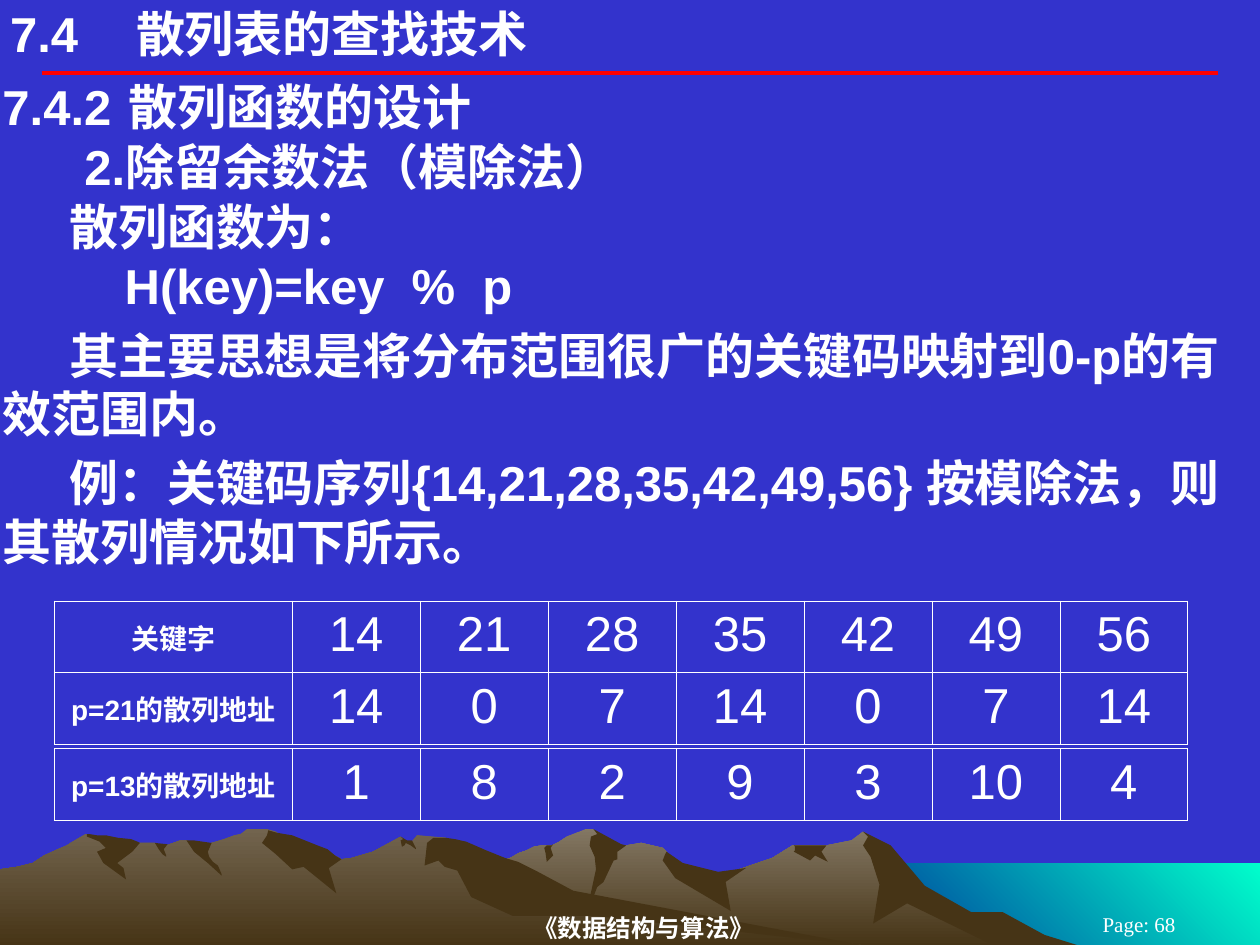
from lxml.etree import SubElement
from pptx import Presentation
from pptx.dml.color import RGBColor
from pptx.enum.shapes import MSO_CONNECTOR
from pptx.enum.text import MSO_ANCHOR as Anchor, MSO_AUTO_SIZE as AutoSize, PP_ALIGN as Align
from pptx.oxml import parse_xml
from pptx.oxml.ns import nsdecls, qn
from pptx.util import Inches, Pt

BLUE = RGBColor(0x33, 0x33, 0xCC)
WHITE = RGBColor(0xFF, 0xFF, 0xFF)
RED = RGBColor(0xFF, 0x00, 0x00)
AQUA = RGBColor(0x00, 0xFF, 0xCC)
NAVY = RGBColor(0x00, 0x33, 0x99)
SAND = RGBColor(0x83, 0x77, 0x63)
STONE = RGBColor(0x72, 0x64, 0x4E)
BROWN = RGBColor(0x46, 0x34, 0x16)

# Landscape outlines, x and y in hundredths of an inch
SEA = "1000,752 683,752 683,685 1000,685"
FAR_RIDGE = """802,740 778,727 764,723 723,698 702,671 685,660 676,667 656,671 629,671
    613,681 566,697 536,690 529,676 526,673 509,669 497,671 486,673 474,661 471,658
    465,658 450,664 444,668 438,671 430,671 424,672 418,675 412,677 405,681 399,683
    394,685 355,698 327,709 277,739 258,751 821,751"""
FAR_SHADOWS = [
    """796,724 771,724 734,703 707,671 685,660 689,664 685,671 691,680 698,702 693,733
    720,717 792,752 858,751 829,742""",
    """471,658 474,662 469,664 468,671 472,680 473,690 465,727 474,704 479,700 487,683
    490,682 490,676 497,671 493,670""",
    "529,676 528,678 526,683 536,697 580,723 576,700 592,689 570,692 542,685",
    "650,671 630,671 631,672 631,675 630,676 643,683 647,679 657,684 652,676 656,671",
    "433,677 432,673 434,671 438,671 439,670 437,673 439,679 434,684",
]
NEAR_RIDGE = """690,751 667,748 432,712 354,665 331,663 327,668 323,668 318,664 296,676
    279,681 271,682 260,676 236,681 223,663 219,660 212,658 196,658 191,662 186,663
    178,666 168,669 160,671 148,667 143,667 132,671 128,671 123,669 111,669 94,671
    68,662 56,669 53,671 46,674 35,679 26,685 14,688 0,690 0,751"""
NEAR_SHADOWS = [
    """212,663 208,669 219,678 232,690 241,688 267,709 261,689 271,682 266,679 260,674
    252,671 232,663 226,662 220,661 213,659""",
    """370,668 361,666 354,665 344,665 339,669 337,687 348,683 353,688 363,691 374,712
    407,727 472,727 690,751 683,750 455,707 427,692 411,684 401,681 386,675""",
    """318,667 320,666 318,664 323,667 327,667 330,673 330,674 326,671 322,669 321,671
    319,672""",
    """154,667 161,668 168,669 165,676 166,680 169,684 173,687 176,694 176,695 165,685
    154,676 148,667""",
    "133,670 130,674 132,679 132,680 129,678 126,674 123,669",
    """109,668 111,669 105,676 93,685 98,689 100,698 82,685 77,676 84,673 79,668 69,664
    69,662 71,662 77,663 84,663 94,665 104,666""",
]


class HashSlide:
    """Holds the slide together with its text style."""
    font, size, color = "Arial", 28, WHITE

    def __init__(self, slide):
        self.slide = slide
        self.shapes = slide.shapes
        slide.background.fill.solid()
        slide.background.fill.fore_color.rgb = BLUE

    def style(self, paragraph, size=None, bold=True, align=Align.LEFT, font=None,
              indent=0, tab=None):
        paragraph.alignment = align
        props = paragraph._p.get_or_add_pPr()
        props.set("marL", "0")
        props.set("indent", str(Inches(indent)))
        if tab:
            stops = SubElement(props, qn("a:tabLst"))
            SubElement(stops, qn("a:tab"), pos=str(Inches(tab)), algn="l")
        face = paragraph.font
        face.name = font or self.font
        face.size = Pt(size or self.size)
        face.bold = bold
        face.color.rgb = self.color

    def frame(self, shape, margins, anchor=Anchor.TOP):
        frame = shape.text_frame
        frame.word_wrap = True
        frame.auto_size = AutoSize.NONE
        frame.vertical_anchor = anchor
        frame.margin_left = frame.margin_right = Inches(margins[0])
        frame.margin_top = frame.margin_bottom = Inches(margins[1])
        return frame

    def title(self, text, left, top, width, height, tab):
        title = self.shapes.title
        title.left, title.top = Inches(left), Inches(top)
        title.width, title.height = Inches(width), Inches(height)
        frame = self.frame(title, (0, 0))
        frame.text = text
        self.style(frame.paragraphs[0], tab=tab)

    def text(self, lines, left, top, width, height, margins=(0.02, 0.01),
             anchor=Anchor.TOP, **style):
        """Each line is a pair of its text and its first-line indent."""
        box = self.shapes.add_textbox(Inches(left), Inches(top), Inches(width), Inches(height))
        frame = self.frame(box, margins, anchor)
        for i, (line, indent) in enumerate(lines):
            paragraph = frame.add_paragraph() if i else frame.paragraphs[0]
            paragraph.text = line
            self.style(paragraph, indent=indent, **style)

    def outline(self, points, *colors, angle=270):
        """One colour gives a solid fill, two give a gradient."""
        first, *rest = [tuple(map(int, point.split(","))) for point in points.split()]
        builder = self.shapes.build_freeform(*first, scale=Inches(0.01))
        builder.add_line_segments(rest, close=True)
        shape = builder.convert_to_shape()
        shape.shadow.inherit = False
        shape.line.fill.background()
        if len(colors) == 1:
            shape.fill.solid()
            shape.fill.fore_color.rgb = colors[0]
            return
        shape.fill.gradient()
        shape.fill.gradient_angle = angle
        for stop, color in zip(shape.fill.gradient_stops, colors):
            stop.color.rgb = color

    def rule(self, left, right, y):
        line = self.shapes.add_connector(
            MSO_CONNECTOR.STRAIGHT, Inches(left), Inches(y), Inches(right), Inches(y))
        line.line.color.rgb = RED
        line.line.width = Pt(2.25)
        SubElement(line._element.spPr, qn("a:effectLst"))

    def table(self, rows, top, left=0.43, label_width=1.89, width=9, row_height=0.57):
        count = len(rows[0])
        table = self.shapes.add_table(len(rows), count, Inches(left), Inches(top),
                                      Inches(width), Inches(row_height * len(rows))).table
        table.first_row = table.horz_banding = False
        for i, column in enumerate(table.columns):
            column.width = Inches((width - label_width) / (count - 1) if i else label_width)
        for r, values in enumerate(rows):
            for c, value in enumerate(values):
                cell = table.cell(r, c)
                self.borders(cell)
                cell.fill.background()
                cell.text = str(value)
                cell.vertical_anchor = Anchor.TOP if c else Anchor.MIDDLE
                self.style(cell.text_frame.paragraphs[0], size=28 if c else 16,
                           bold=not c, align=Align.CENTER)

    def borders(self, cell):
        props = cell._tc.get_or_add_tcPr()
        for side in "LRTB":
            props.append(parse_xml(
                f'<a:ln{side} {nsdecls("a")} w="{Pt(0.45)}"><a:solidFill>'
                f'<a:srgbClr val="{self.color}"/></a:solidFill></a:ln{side}>'))


def main():
    deck = Presentation()
    deck.slide_width, deck.slide_height = Inches(10), Inches(7.5)
    page = HashSlide(deck.slides.add_slide(deck.slide_layouts[5]))

    # Sea and mountains
    page.outline(SEA, AQUA, NAVY, angle=225)
    for ridge, top_color, shadows in ((FAR_RIDGE, SAND, FAR_SHADOWS),
                                      (NEAR_RIDGE, STONE, NEAR_SHADOWS)):
        page.outline(ridge, top_color, BROWN)
        for shadow in shadows:
            page.outline(shadow, BROWN)

    # Heading rule and footer
    page.rule(0.33, 9.67, 0.58)
    footer = dict(anchor=Anchor.MIDDLE, align=Align.CENTER, font="Times New Roman")
    page.text([("《数据结构与算法》", 0)], 2.08, 7.22, 6.06, 0.28, (0, 0.01), size=14, **footer)
    page.text([("Page: 68", 0)], 8.25, 7.25, 1.58, 0.17, (0.1, 0.05), size=12, bold=False,
              **footer)

    # Headings and explanation
    page.title("7.4\t散列表的查找技术", 0.08, 0.03, 6.5, 0.47, tab=0.85)
    page.text([("7.4.2\t散列函数的设计", 0)], 0, 0.6, 10, 0.49, tab=1.27)
    page.text([("2.除留余数法（模除法）", 0.65)], 0, 1.07, 10, 0.49)
    page.text([("散列函数为：", 0.53), ("H(key)=key  %  p", 0.97)], 0, 1.55, 10, 0.96)
    page.text([("其主要思想是将分布范围很广的关键码映射到0-p的有效范围内。", 0.53)],
              0, 2.57, 10, 0.96)
    page.text([("例：关键码序列{14,21,28,35,42,49,56} 按模除法，则其散列情况如下所示。", 0.53)],
              0, 3.58, 10, 0.96)

    # Hash addresses for each divisor
    keys = range(14, 57, 7)
    addresses = {p: [f"p={p}的散列地址", *(key % p for key in keys)] for p in (21, 13)}
    page.table([["关键字", *keys], addresses[21]], top=4.77)
    page.table([addresses[13]], top=5.94)

    deck.save("out.pptx")


if __name__ == "__main__":
    main()
